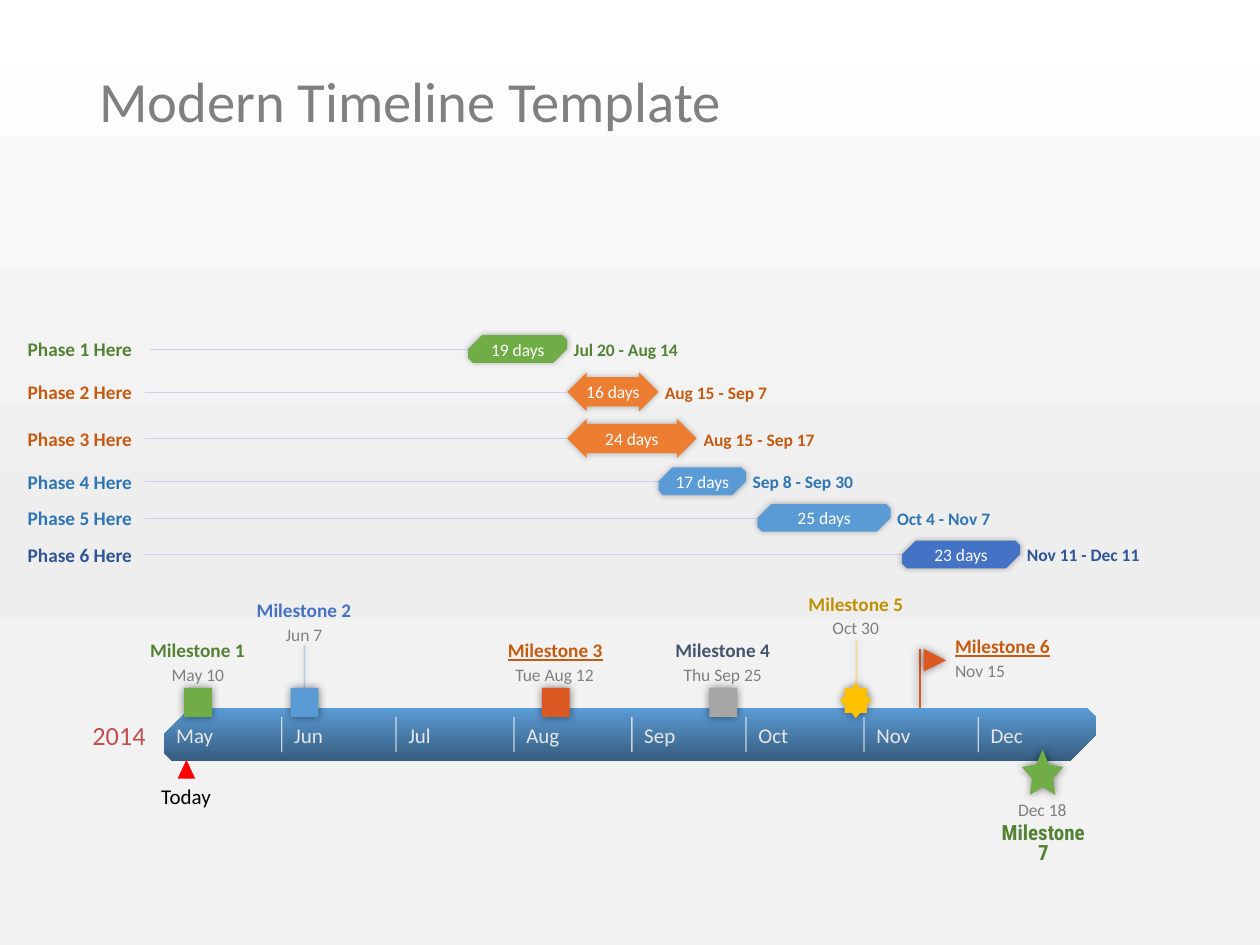
from itertools import accumulate

from lxml.etree import SubElement
from pptx import Presentation
from pptx.dml.color import RGBColor
from pptx.enum.shapes import MSO_CONNECTOR, MSO_SHAPE as Kind
from pptx.enum.text import MSO_ANCHOR as Anchor, PP_ALIGN as Align
from pptx.oxml.ns import qn
from pptx.util import Inches, Pt

HUE = {
    "white": "FFFFFF", "black": "000000", "title": "808080", "year": "C0504D",
    "month": "E7E6E6", "date": "7F7F7F", "rule": "CDCDFA", "red": "FF0000",
    "green": "70AD47", "moss": "548235", "orange": "ED7D31", "rust": "C55A11",
    "blue": "5B9BD5", "sea": "2E75B6", "royal": "4472C4", "navy": "2F5597",
    "brick": "DC5924", "gold": "FFC000", "ochre": "BF9000", "grey": "A5A5A5",
    "slate": "44546A", "deep": "365D7F", "mist": "EEEEEE", "pale": "F2F2F2",
}

# Time scale: the band runs from May 1 to Dec 31
MONTHS = {"May": 31, "Jun": 30, "Jul": 31, "Aug": 31,
          "Sep": 30, "Oct": 31, "Nov": 30, "Dec": 31}
STARTS = dict(zip(MONTHS, accumulate(MONTHS.values(), initial=0)))
LEFT, TOP, WIDE, HIGH = 1.3, 5.62, 7.4, 0.42
DAY = WIDE / sum(MONTHS.values())

# Name, dates, length, centre height, bar shape, bar and text colours, date width
SNIP, ARROW = Kind.SNIP_2_DIAG_RECTANGLE, Kind.LEFT_RIGHT_ARROW
PHASES = [
    ("Phase 1 Here", "Jul 20 - Aug 14", "19 days", 2.77, SNIP, "green", "moss", 0.93),
    ("Phase 2 Here", "Aug 15 - Sep 7", "16 days", 3.11, ARROW, "orange", "rust", 0.91),
    ("Phase 3 Here", "Aug 15 - Sep 17", "24 days", 3.48, ARROW, "orange", "rust", 0.99),
    ("Phase 4 Here", "Sep 8 - Sep 30", "17 days", 3.82, SNIP, "blue", "sea", 0.9),
    ("Phase 5 Here", "Oct 4 - Nov 7", "25 days", 4.11, SNIP, "blue", "sea", 0.84),
    ("Phase 6 Here", "Nov 11 - Dec 11", "23 days", 4.4, SNIP, "royal", "navy", 0.94 + 0.06),
]
BARS = {SNIP: (0.22, (1, 0.167)), ARROW: (0.31, (0.75, 0.5))}

# Name, date, name top, mark colour, text colour, date width
MARKS = [
    ("Milestone 1", "May 10", 5.1, "green", "moss", 0.42),
    ("Milestone 2", "Jun 7", 4.78, "blue", "royal", 0.3),
    ("Milestone 3", "Tue Aug 12", 5.1, "brick", "rust", 0.64),
    ("Milestone 4", "Thu Sep 25", 5.1, "grey", "slate", 0.63),
    ("Milestone 5", "Oct 30", 4.73, "gold", "ochre", 0.38),
]


def rgb(name):
    return RGBColor.from_string(HUE[name])


def place(date):
    """Left edge of a day such as 'Tue Aug 12' on the band."""
    month, day = date.split()[-2:]
    return LEFT + (STARTS[month] + int(day) - 1) * DAY


def blend(fill, node, stops):
    """Fill from top to bottom with the given colour stops."""
    fill.gradient()
    fill.gradient_angle = 270
    items = node.find(".//" + qn("a:gsLst"))
    items.clear()
    for at, name in stops:
        stop = SubElement(items, qn("a:gs"), pos=str(at * 1000))
        SubElement(stop, qn("a:srgbClr"), val=HUE[name])


def glow(node, alpha, blur):
    """Add a soft shadow to an empty effect list."""
    shade = SubElement(node, qn("a:outerShdw"), blurRad=str(Pt(blur)),
                       dist="0", dir="0", algn="ctr", rotWithShape="0")
    tint = SubElement(shade, qn("a:srgbClr"), val=HUE["black"])
    SubElement(tint, qn("a:alpha"), val=str(alpha * 1000))


def line(slide, x1, y1, x2, y2, hue, width, alpha=None, shadow=None):
    link = slide.shapes.add_connector(
        MSO_CONNECTOR.STRAIGHT, *map(Inches, (x1, y1, x2, y2)))
    link.line.color.rgb = rgb(hue)
    link.line.width = Pt(width)
    props = link.element.spPr
    if alpha:
        tint = props.find(".//" + qn("a:srgbClr"))
        SubElement(tint, qn("a:alpha"), val=str(alpha * 1000))
    effects = SubElement(props, qn("a:effectLst"))
    if shadow:
        glow(effects, *shadow)


def form(slide, kind, x, y, w, h, hue=None, adjust=(), shadow=None):
    item = slide.shapes.add_shape(kind, *map(Inches, (x, y, w, h)))
    item.line.fill.background()
    item.shadow.inherit = False
    for i, value in enumerate(adjust):
        item.adjustments[i] = value
    if hue:
        item.fill.solid()
        item.fill.fore_color.rgb = rgb(hue)
    if shadow:
        glow(item.element.spPr.find(qn("a:effectLst")), *shadow)
    return item


def text(slide, words, x, y, w, h, size=10, hue="date", bold=None, under=None,
         font="Calibri", align=None, anchor=Anchor.TOP, space=None,
         wrap=False, pad=(0, 0)):
    box = slide.shapes.add_textbox(*map(Inches, (x, y, w, h)))
    frame = box.text_frame
    frame.word_wrap = wrap
    frame.vertical_anchor = anchor
    frame.margin_left = frame.margin_right = Inches(pad[0])
    frame.margin_top = frame.margin_bottom = Inches(pad[1])
    para = frame.paragraphs[0]
    para.alignment = align
    para.line_spacing = space
    run = para.add_run()
    run.text = words
    run.font.name, run.font.size = font, Pt(size)
    run.font.bold, run.font.underline = bold, under
    run.font.color.rgb = rgb(hue)


def phase(slide, name, dates, days, mid, kind, hue, ink, wide):
    first, last = dates.split(" - ")
    start, end = place(first), place(last) + DAY
    high, adjust = BARS[kind]
    bar = (start, mid - high / 2, end - start, high)
    lead = 1.19 if name == "Phase 1 Here" else 1.15
    middle = dict(anchor=Anchor.MIDDLE)
    line(slide, lead, mid, start, mid, "rule", 0.1)
    form(slide, kind, *bar, hue, adjust, (30, 3.5))
    text(slide, name, 0.22, mid - 0.09, 0.86, 0.18, size=11, hue=ink,
         bold=True, wrap=True, **middle)
    text(slide, dates, end, mid - 0.08, wide, 0.17, hue=ink, bold=True,
         align=Align.CENTER, **middle)
    text(slide, days, *bar, hue="white", align=Align.CENTER, **middle)


def band(slide):
    bar = form(slide, SNIP, LEFT, TOP, WIDE, HIGH, adjust=(1, 0.167))
    blend(bar.fill, bar.element.spPr, [(0, "blue"), (100, "deep")])
    text(slide, "2014", 0.59, TOP, 0.71, HIGH, size=15, hue="year",
         align=Align.CENTER, anchor=Anchor.MIDDLE, pad=(0.14, 0))
    for month in MONTHS:
        x = place(month + " 1")
        if x > LEFT:
            line(slide, x, 5.69, x, 5.97, "white", 0.75, alpha=70)
        text(slide, month, x, TOP, 0.93, HIGH, size=12, hue="month",
             anchor=Anchor.MIDDLE, wrap=True, pad=(0.1, 0.05))


def mark(slide, name, date, top, hue, ink, wide):
    mid = place(date)
    if hue == "gold":
        form(slide, Kind.STAR_8_POINT, mid - 0.13, 5.42, 0.25, 0.28, hue, shadow=(50, 5))
    else:
        form(slide, Kind.RECTANGLE, mid - 0.11, 5.46, 0.22, 0.23, hue, shadow=(50, 5))
    text(slide, name, mid - 0.4, top, 0.79, 0.15, size=11, hue=ink, bold=True,
         under=name == "Milestone 3" or None, align=Align.CENTER,
         anchor=Anchor.BOTTOM, space=0.8, wrap=True)
    text(slide, date, mid - wide / 2, top + 0.17, wide, 0.17)


def main():
    deck = Presentation()
    deck.slide_width, deck.slide_height = Inches(10), Inches(7.5)
    slide = deck.slides.add_slide(deck.slide_layouts[6])
    blend(slide.background.fill, slide.element,
          [(0, "white"), (57, "mist"), (74, "pale"), (100, "pale")])
    text(slide, "Modern Timeline Template", 0.69, 0.54, 8.62, 0.57, size=32.4,
         hue="title", anchor=Anchor.MIDDLE, space=0.9, wrap=True, pad=(0.1, 0.05))

    # Stems of the raised milestones and the flag pole
    soft = (50, 5)
    for date, top, hue in (("Jun 7", 5.12, "blue"), ("Oct 30", 5.08, "gold")):
        x = place(date)
        line(slide, x, top, x, top + 0.34, hue, 1, alpha=35, shadow=soft)
    line(slide, 7.3, 5.15, 7.3, TOP, "brick", 1.25, shadow=soft)

    for row in PHASES:
        phase(slide, *row)
    band(slide)
    for row in MARKS:
        mark(slide, *row)

    # Today
    form(slide, Kind.ISOSCELES_TRIANGLE, 1.41, 6.03, 0.14, 0.15, "red")
    text(slide, "Today", 1.28, 6.22, 0.4, 0.2, size=12, hue="black")

    # Flag
    flag = form(slide, Kind.FLOWCHART_MERGE, 7.33, 5.15, 0.18, 0.18, "brick", shadow=soft)
    flag.rotation = 270
    text(slide, "Milestone 6", 7.58, 5.07, 0.79, 0.15, size=11, hue="rust",
         bold=True, under=True, space=0.8, wrap=True)
    text(slide, "Nov 15", 7.58, 5.24, 0.4, 0.17)

    # Star below the band
    form(slide, Kind.STAR_5_POINT, 8.11, 5.95, 0.33, 0.36, "green", (0.25,), soft)
    text(slide, "Milestone 7", 7.94, 6.54, 0.68, 0.16, size=12, hue="moss", bold=True,
         font="Roboto Condensed", align=Align.CENTER, space=0.8, wrap=True)
    text(slide, "Dec 18", 8.08, 6.34, 0.39, 0.17, anchor=Anchor.MIDDLE)
    deck.save("out.pptx")


if __name__ == "__main__":
    main()
